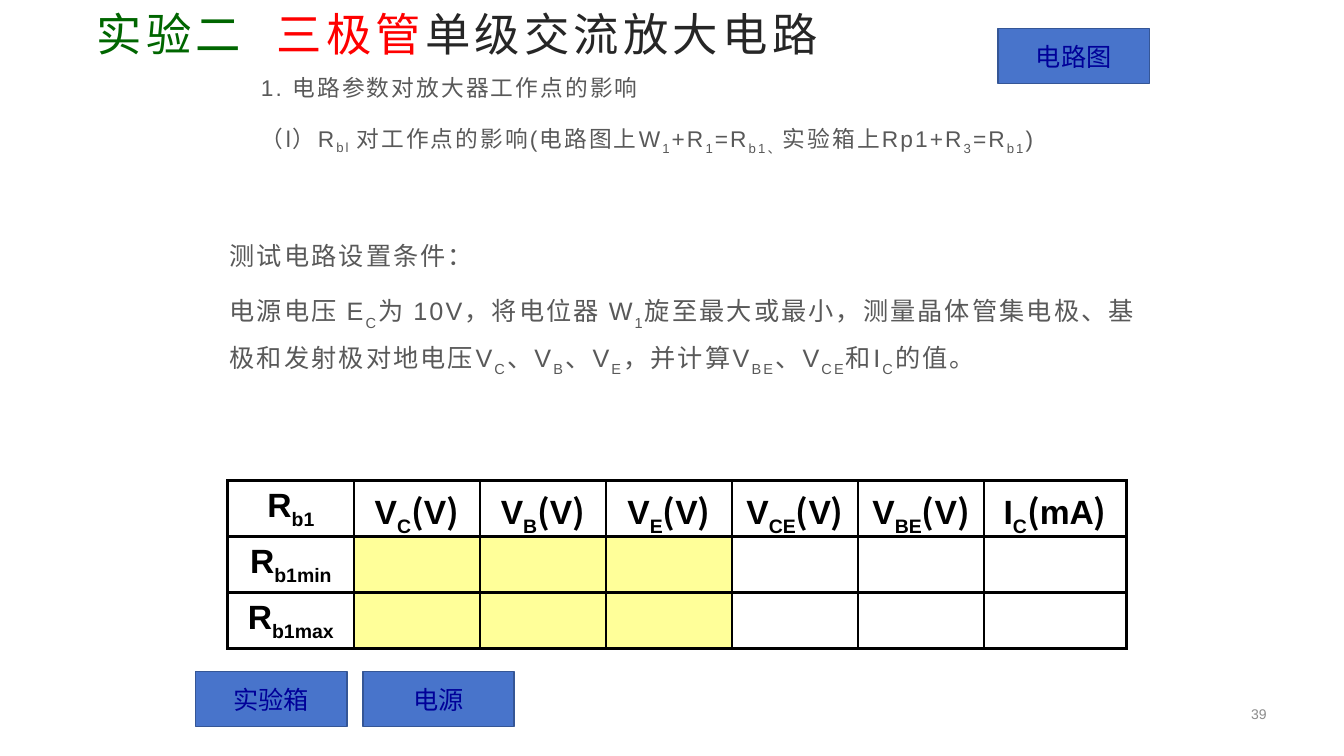
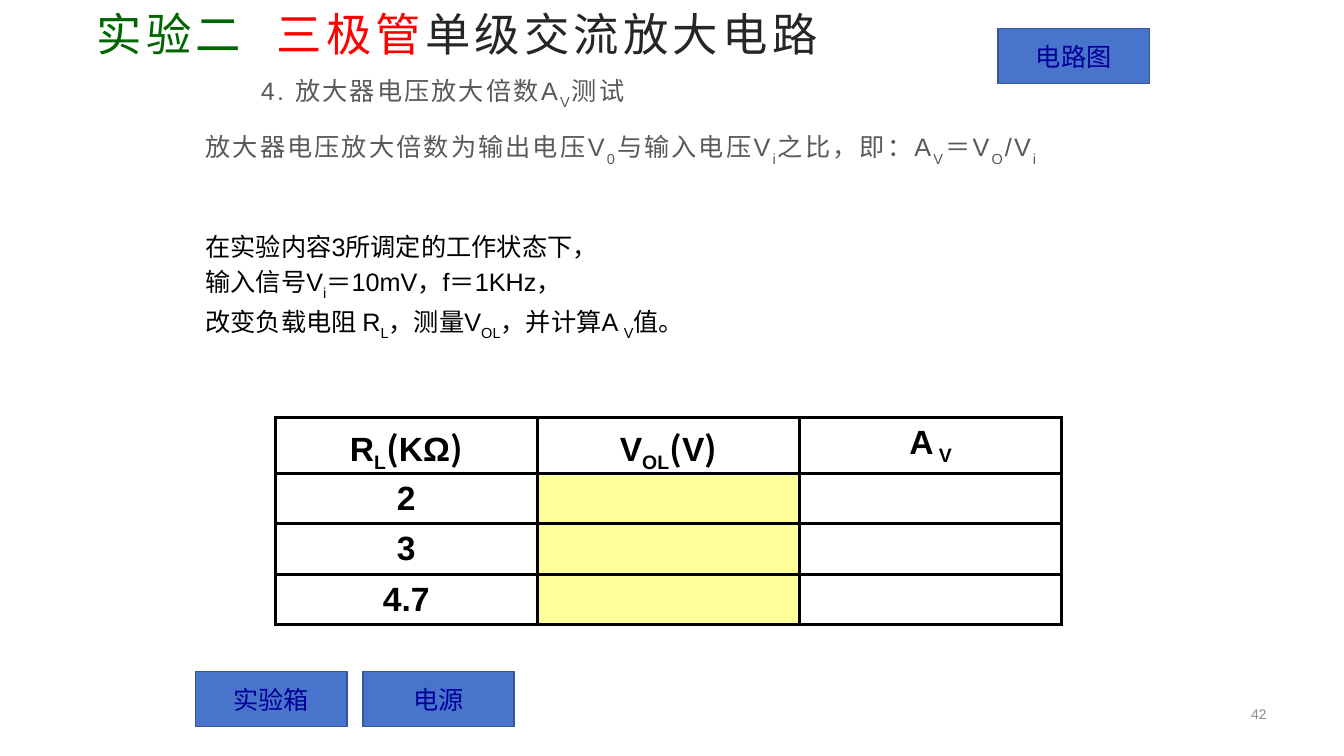
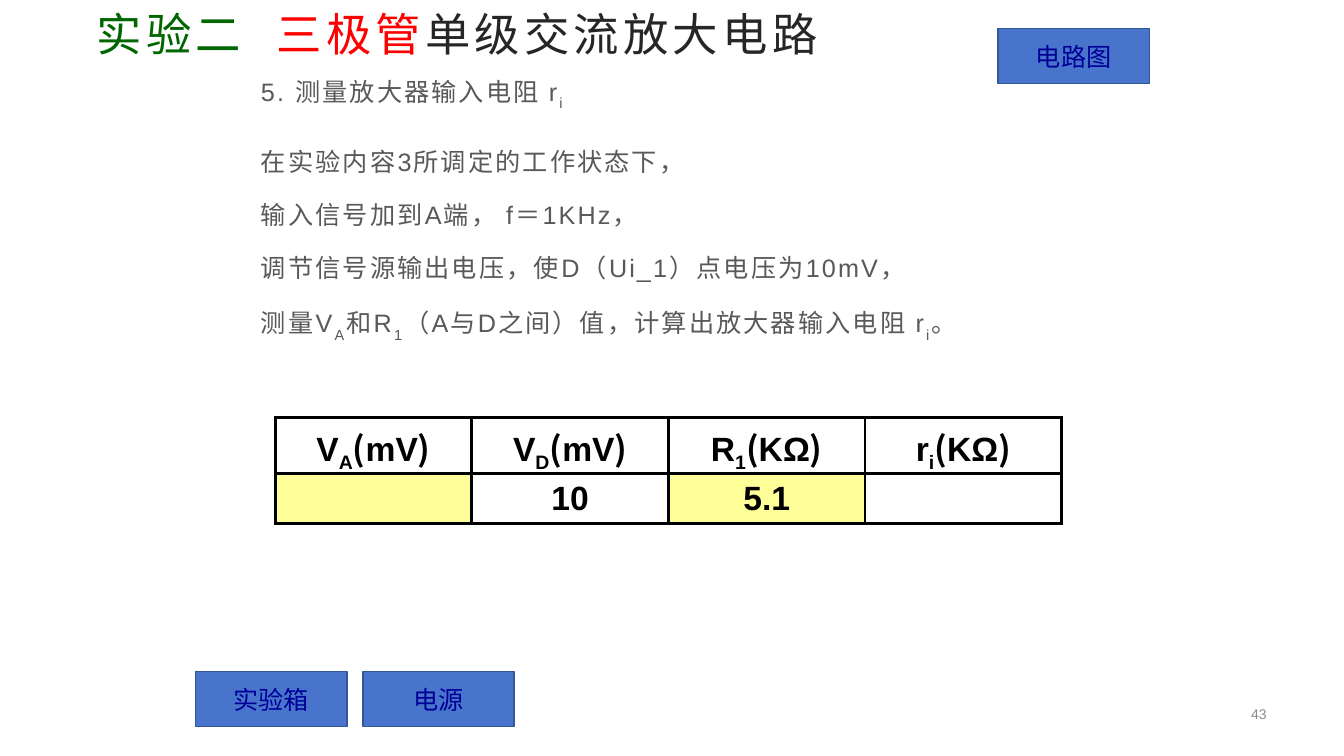
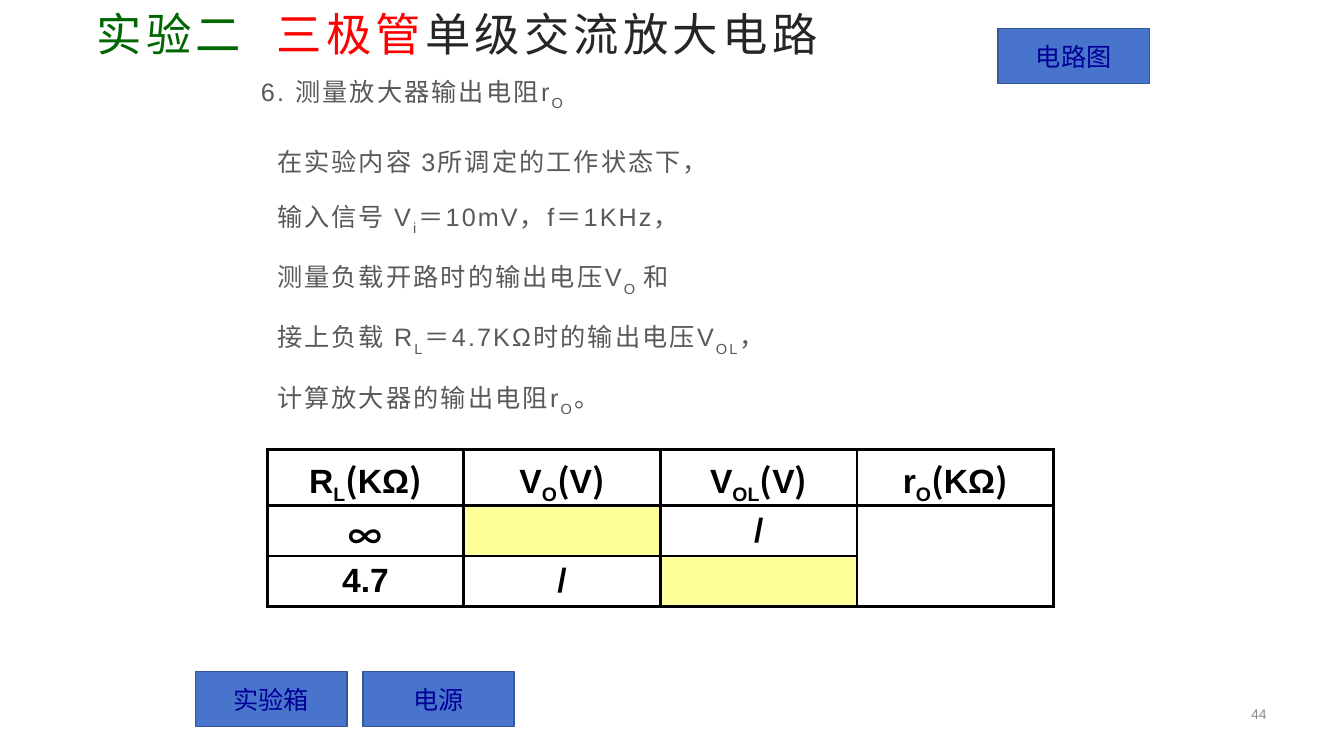
from dataclasses import dataclass
from itertools import groupby
from typing import Optional

from lxml.etree import SubElement
from pptx import Presentation
from pptx.dml.color import RGBColor
from pptx.enum.shapes import MSO_SHAPE as SHAPE
from pptx.enum.text import MSO_ANCHOR as ANCHOR, PP_ALIGN as ALIGN
from pptx.oxml.ns import qn
from pptx.util import Pt

PX = 9144  # 100 px to the inch
LATIN, CJK = "Arial", "Noto Sans CJK SC"
GREEN, RED, INK = "006600", "FF0000", "262626"
GREY, PALE, BLACK, WHITE = "595959", "8C8C8C", "000000", "FFFFFF"
BLUE, EDGE, NAVY, YELLOW = "4874CB", "355696", "000099", "FFFF99"
SUBSCRIPTS = {"{": -30000, "[": -25000}  # {deep} and [shallow] subscripts
CJK_MARKS = "()∞"  # table symbols set in the CJK font


@dataclass(frozen=True)
class Style:
    size: float
    color: str
    spc: float = 0
    bold: bool = False
    marks: str = ""


@dataclass(frozen=True)
class Para:
    align: Optional[ALIGN] = None
    spacing: float = 1.0
    before: float = 0
    after: float = 0


@dataclass(frozen=True)
class Block:
    x: int
    y: int
    w: int
    h: int
    lines: list[str]
    style: Style
    para: Para


@dataclass(frozen=True)
class Grid:
    x: int
    y: int
    cols: list[int]
    rows: list[int]
    cells: list[list[str]]
    yellow: set[tuple[int, int]]
    merge: Optional[tuple[int, int, int, int]] = None


@dataclass(frozen=True)
class Page:
    number: int
    blocks: list[Block]
    grid: Grid


BODY = Style(18, GREY, 1.5)
SMALL_BODY = Style(16.2, GREY, 1.5)
NOTE = Style(18, BLACK)
CELL = Style(24, BLACK, bold=True, marks=CJK_MARKS)
BUTTON = Style(18, NAVY)
NUMBER = Style(10, PALE)
TITLE = [("实验二", GREEN, 3), (" ", GREEN, 15), ("三极管", RED, 3),
         ("单级交流放大电路", INK, 3)]

LEFT = Para(spacing=1.3, after=10)
JUSTIFIED = Para(ALIGN.JUSTIFY, spacing=1.3, after=10)
TIGHT = Para(ALIGN.JUSTIFY, before=3)
CENTER = Para(ALIGN.CENTER)
RIGHT = Para(ALIGN.RIGHT)


def rgb(color: str) -> RGBColor:
    return RGBColor.from_string(color)


# Text
def add_run(p, text: str, style: Style, base: int = 0, face: str = LATIN) -> None:
    r = p.add_run()
    r.text = text
    r.font.size, r.font.bold, r.font.name = Pt(style.size), style.bold, face
    r.font.color.rgb = rgb(style.color)
    rPr = r.font._element
    SubElement(rPr, qn("a:ea")).set("typeface", CJK)
    if style.spc:
        rPr.set("spc", str(int(style.spc * 100)))
    if base:
        rPr.set("baseline", str(base))


def add_marked(p, text: str, style: Style) -> None:
    base, marked = 0, []
    for ch in text:
        if ch in SUBSCRIPTS:
            base = SUBSCRIPTS[ch]
        elif ch in "}]":
            base = 0
        else:
            marked.append((ch, base, CJK if ch in style.marks else LATIN))
    for (base, face), group in groupby(marked, key=lambda m: m[1:]):
        add_run(p, "".join(m[0] for m in group), style, base, face)


def write(tf, lines: list[str], style: Style, para: Para) -> None:
    tf.word_wrap = True
    for i, line in enumerate(lines):
        p = tf.add_paragraph() if i else tf.paragraphs[0]
        p.alignment, p.line_spacing = para.align, para.spacing
        p.space_before = Pt(para.before if i else 0)
        p.space_after = Pt(para.after)
        add_marked(p, line, style)


def add_box(s, x: int, y: int, w: int, h: int, anchor=ANCHOR.TOP):
    tf = s.shapes.add_textbox(x * PX, y * PX, w * PX, h * PX).text_frame
    tf.word_wrap, tf.vertical_anchor = True, anchor
    return tf


# Shared parts
def add_title(s) -> None:
    p = add_box(s, 86, 5, 1200, 57, ANCHOR.MIDDLE).paragraphs[0]
    for text, color, spc in TITLE:
        add_run(p, text, Style(32.4, color, spc))


def add_button(s, x: int, y: int, label: str) -> None:
    sp = s.shapes.add_shape(SHAPE.ACTION_BUTTON_CUSTOM,
                            x * PX, y * PX, 150 * PX, 55 * PX)
    sp.shadow.inherit = False
    sp.fill.solid()
    sp.fill.fore_color.rgb = rgb(BLUE)
    sp.line.color.rgb = rgb(EDGE)
    sp.line.width = Pt(1)
    sp.text_frame.vertical_anchor = ANCHOR.MIDDLE
    write(sp.text_frame, [label], BUTTON, CENTER)


# Tables
def add_borders(cell) -> None:
    tcPr = cell._tc.get_or_add_tcPr()
    for i, side in enumerate(("lnL", "lnR", "lnT", "lnB")):
        ln = tcPr.makeelement(qn(f"a:{side}"), {"w": str(Pt(2.25))})
        fill = SubElement(ln, qn("a:solidFill"))
        SubElement(fill, qn("a:srgbClr")).set("val", BLACK)
        tcPr.insert(i, ln)


def add_grid(s, grid: Grid) -> None:
    table = s.shapes.add_table(len(grid.rows), len(grid.cols),
                               grid.x * PX, grid.y * PX,
                               sum(grid.cols) * PX, sum(grid.rows) * PX).table
    table.first_row = table.horz_banding = False
    for col, w in zip(table.columns, grid.cols):
        col.width = w * PX
    for row, h in zip(table.rows, grid.rows):
        row.height = h * PX
    for i, texts in enumerate(grid.cells):
        for j, text in enumerate(texts):
            cell = table.cell(i, j)
            cell.fill.solid()
            cell.fill.fore_color.rgb = rgb(YELLOW if (i, j) in grid.yellow else WHITE)
            add_borders(cell)
            cell.vertical_anchor = ANCHOR.MIDDLE
            if text:
                write(cell.text_frame, [text], CELL, CENTER)
    if grid.merge:
        top, left, bottom, right = grid.merge
        table.cell(top, left).merge(table.cell(bottom, right))


def add_page(prs, page: Page) -> None:
    s = prs.slides.add_slide(prs.slide_layouts[6])
    add_title(s)
    for b in page.blocks:
        write(add_box(s, b.x, b.y, b.w, b.h), b.lines, b.style, b.para)
    write(add_box(s, 971, 691, 295, 35, ANCHOR.MIDDLE),
          [str(page.number)], NUMBER, RIGHT)
    add_grid(s, page.grid)
    add_button(s, 990, 28, "电路图")
    for i, label in enumerate(("实验箱", "电源")):
        add_button(s, 194 + i * 166, 666, label)


def heading(text: str) -> Block:
    return Block(249, 60, 858, 63, [text], BODY, LEFT)


# Content
PAGES = [
    Page(39, [
        Block(249, 60, 858, 110, [
            "1. 电路参数对放大器工作点的影响",
            "（l）R[bl ]对工作点的影响(电路图上W{1}+R{1}=R{b1、}"
            "实验箱上Rp1+R{3}=R{b1})",
        ], SMALL_BODY, LEFT),
        Block(218, 225, 921, 220, [
            "测试电路设置条件：",
            "电源电压 E{C}为 10V，将电位器 W{1}旋至最大或最小，测量晶体管集电极、"
            "基极和发射极对地电压V{C}、V{B}、V{E}，并计算V{BE}、V{CE}和I{C}的值。",
        ], BODY, LEFT),
    ], Grid(226, 477, [125] * 6 + [141], [50, 41, 41], [
        ["R[b1]", "V[C](V)", "V[B](V)", "V[E](V)", "V[CE](V)", "V[BE](V)", "I[C](mA)"],
        ["R[b1min]"] + [""] * 6,
        ["R[b1max]"] + [""] * 6,
    ], {(i, j) for i in (1, 2) for j in (1, 2, 3)})),
    Page(42, [
        heading("4. 放大器电压放大倍数A[V]测试"),
        Block(194, 115, 961, 118, [
            "放大器电压放大倍数为输出电压V{0}与输入电压V{i}之比，即：A{V}＝V{O}/V{i}",
        ], BODY, JUSTIFIED),
        Block(194, 225, 921, 173, [
            "在实验内容3所调定的工作状态下，",
            "输入信号V{i}＝10mV，f＝1KHz，",
            "改变负载电阻 R{L}，测量V{OL}，并计算A {V}值。",
        ], NOTE, TIGHT),
    ], Grid(273, 414, [260] * 3, [41] * 4, [
        ["R[L](KΩ)", "V[OL](V)", "A[ V]"],
        ["2", "", ""],
        ["3", "", ""],
        ["4.7", "", ""],
    ], {(i, 1) for i in (1, 2, 3)})),
    Page(43, [
        heading("5. 测量放大器输入电阻 r{i}"),
        Block(249, 131, 851, 252, [
            "在实验内容3所调定的工作状态下，",
            "输入信号加到A端， f＝1KHz，",
            "调节信号源输出电压，使D（Ui_1）点电压为10mV，",
            "测量V{A}和R{1}（A与D之间）值，计算出放大器输入电阻 r{i}。",
        ], BODY, JUSTIFIED),
    ], Grid(273, 414, [195] * 4, [41] * 2, [
        ["V[A](mV)", "V[D](mV)", "R[1](KΩ)", "r[i](KΩ)"],
        ["", "10", "5.1", ""],
    ], {(1, 0), (1, 2)})),
    Page(44, [
        heading("6. 测量放大器输出电阻r{O}"),
        Block(265, 131, 772, 291, [
            "在实验内容 3所调定的工作状态下，",
            "输入信号 V{i}＝10mV，f＝1KHz，",
            "测量负载开路时的输出电压V{O }和",
            "接上负载 R{L}＝4.7KΩ时的输出电压V{OL}，",
            "计算放大器的输出电阻r{O}。",
        ], BODY, JUSTIFIED),
    ], Grid(265, 446, [195] * 4, [41] * 3, [
        ["R[L](KΩ)", "V[O](V)", "V[OL](V)", "r[O](KΩ)"],
        ["∞", "", "/", ""],
        ["4.7", "/", "", ""],
    ], {(1, 1), (2, 2)}, merge=(1, 3, 2, 3))),
]


def main() -> None:
    prs = Presentation()
    prs.slide_width, prs.slide_height = 1333 * PX, 750 * PX
    for page in PAGES:
        add_page(prs, page)
    prs.save("out.pptx")


if __name__ == "__main__":
    main()
